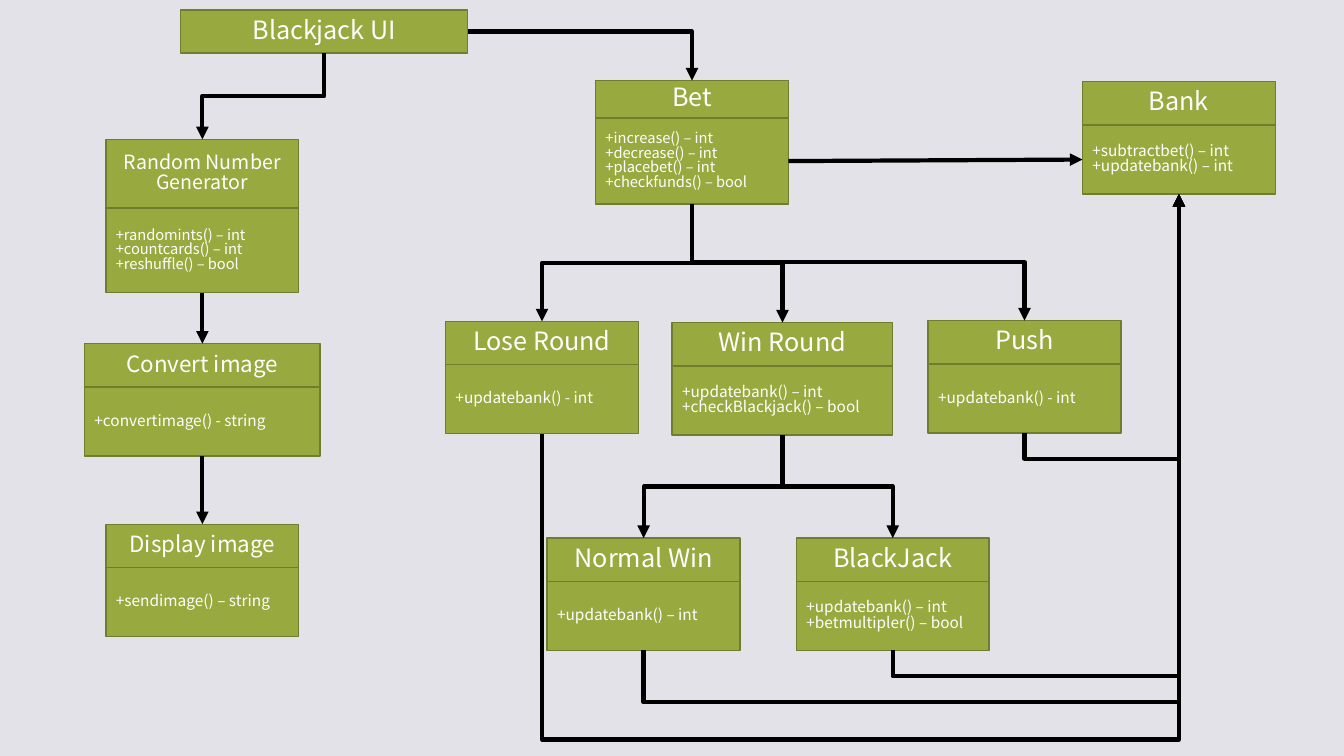
"""Class diagram of a blackjack game: class boxes and the calls between them."""
from lxml.etree import SubElement
from pptx import Presentation
from pptx.dml.color import RGBColor
from pptx.enum.shapes import MSO_CONNECTOR, MSO_SHAPE
from pptx.enum.text import MSO_ANCHOR, PP_ALIGN
from pptx.oxml.ns import qn
from pptx.util import Cm, Pt

COLORS = {"background": "E3E2E8", "box": "98A93F", "border": "707D2F",
          "text": "FFFFFF", "arrow": "000000"}
FONT = "Noto Sans CJK JP"
BOTTOM, TOP, LEFT, RIGHT = 2, 0, 1, 3
WIDTH, HEAD, BODY = 4.86, 1.09, 1.74


def add_box(shapes, left, top, width, height, text, size, align):
    box = shapes.add_shape(MSO_SHAPE.RECTANGLE, Cm(left), Cm(top), Cm(width), Cm(height))
    box.shadow.inherit = False
    box.fill.solid()
    box.fill.fore_color.rgb = RGBColor.from_string(COLORS["box"])
    box.line.color.rgb = RGBColor.from_string(COLORS["border"])
    box.line.width = Pt(1)
    box.text_frame.text = text
    box.text_frame.vertical_anchor = MSO_ANCHOR.MIDDLE
    for paragraph in box.text_frame.paragraphs:
        paragraph.alignment = align
        paragraph.line_spacing = 0.84
        for run in paragraph.runs:
            run.font.size = Pt(size)
            run.font.name = FONT
            run.font.color.rgb = RGBColor.from_string(COLORS["text"])
    return box


def add_arrow(kind, source, source_side, target, target_side):
    arrow = slide.shapes.add_connector(kind, 0, 0, 0, 0)
    arrow.begin_connect(source, source_side)
    arrow.end_connect(target, target_side)
    arrow.line.color.rgb = RGBColor.from_string(COLORS["arrow"])
    arrow.line.width = Pt(3)
    properties = arrow._element.spPr
    SubElement(properties.find(qn("a:ln")), qn("a:tailEnd"), type="triangle")
    SubElement(properties, qn("a:effectLst"))
    return arrow


presentation = Presentation()
presentation.slide_width = Cm(33.87)
presentation.slide_height = Cm(19.05)
slide = presentation.slides.add_slide(presentation.slide_layouts[6])
slide.background.fill.solid()
slide.background.fill.fore_color.rgb = RGBColor.from_string(COLORS["background"])

classes = [
    ("Bet", 18, 15.01, 2.03, WIDTH, 0.95, 2.16, 10.5,
     ["+increase() – int", "+decrease() – int", "+placebet() – int", "+checkfunds() – bool"]),
    ("Bank", 18, 27.28, 2.06, WIDTH, HEAD, BODY, 11,
     ["+subtractbet() – int", "+updatebank() – int"]),
    ("Lose Round", 18, 11.23, 8.1, WIDTH, HEAD, BODY, 11, ["+updatebank() - int"]),
    ("Win Round", 18, 16.94, 8.13, 5.56, HEAD, BODY, 11,
     ["+updatebank() – int", "+checkBlackjack() – bool"]),
    ("Push", 18, 23.39, 8.08, WIDTH, HEAD, BODY, 11, ["+updatebank() - int"]),
    ("Normal Win", 18, 13.79, 13.56, WIDTH, HEAD, BODY, 11, ["+updatebank() – int"]),
    ("BlackJack", 18, 20.07, 13.56, WIDTH, HEAD, BODY, 11,
     ["+updatebank() – int", "+betmultipler() – bool"]),
    ("Random Number Generator", 14, 2.67, 3.51, WIDTH, 1.73, 2.14, 10.5,
     ["+randomints() – int", "+countcards() – int", "+reshuffle() – bool"]),
    ("Convert image", 16, 2.13, 8.66, 5.94, HEAD, BODY, 11, ["+convertimage() - string"]),
    ("Display image", 16, 2.67, 13.21, WIDTH, HEAD, BODY, 11, ["+sendimage() – string"]),
]
heads, bodies = {}, {}
for name, name_size, left, top, width, head, body, method_size, methods in classes:
    members = slide.shapes.add_group_shape().shapes
    heads[name] = add_box(members, left, top, width, head, name, name_size, PP_ALIGN.CENTER)
    bodies[name] = add_box(members, left, top + head, width, body, "\n".join(methods),
                           method_size, PP_ALIGN.LEFT)
blackjack_ui = add_box(slide.shapes, 4.55, 0.25, 7.24, HEAD, "Blackjack UI", 18, PP_ALIGN.CENTER)

add_arrow(MSO_CONNECTOR.STRAIGHT, bodies["Bet"], RIGHT, bodies["Bank"], LEFT)
for caller, callee in [("Random Number Generator", "Convert image"),
                       ("Convert image", "Display image")]:
    add_arrow(MSO_CONNECTOR.STRAIGHT, bodies[caller], BOTTOM, heads[callee], TOP)

ui_to_bet = add_arrow(MSO_CONNECTOR.ELBOW, blackjack_ui, RIGHT, heads["Bet"], TOP)
ui_to_bet._element.spPr.find(qn("a:prstGeom")).set("prst", "bentConnector2")

branches = [(blackjack_ui, heads["Random Number Generator"], TOP, None)]
for caller, callee in [("Bet", "Lose Round"), ("Bet", "Win Round"), ("Bet", "Push"),
                       ("Win Round", "Normal Win"), ("Win Round", "BlackJack")]:
    branches.append((bodies[caller], heads[callee], TOP, None))
for caller, rail in [("Lose Round", 18.64), ("Normal Win", 17.7),
                     ("BlackJack", 17.04), ("Push", 11.56)]:
    branches.append((bodies[caller], bodies["Bank"], BOTTOM, rail))

for source, target, side, rail in branches:
    branch = add_arrow(MSO_CONNECTOR.ELBOW, source, BOTTOM, target, side)
    start_x, start_y, end_x, end_y = branch.begin_x, branch.begin_y, branch.end_x, branch.end_y
    across, down = abs(end_x - start_x), abs(end_y - start_y)
    branch.left = (start_x + end_x - down) // 2
    branch.top = (start_y + end_y - across) // 2
    branch.width, branch.height = down, across
    rightward, upward = end_x > start_x, end_y < start_y
    frame = branch._element.spPr.find(qn("a:xfrm"))
    frame.set("rot", str((270 if rightward and not upward else 90) * 60000))
    frame.set("flipH", str(int(rightward)))
    frame.set("flipV", str(int(upward)))
    bend = (Cm(rail) - start_y) / (end_y - start_y) if rail else 0.5
    geometry = branch._element.spPr.find(qn("a:prstGeom"))
    SubElement(geometry.find(qn("a:avLst")), qn("a:gd"), name="adj1",
               fmla=f"val {round(bend * 100000)}")

presentation.save("out.pptx")
